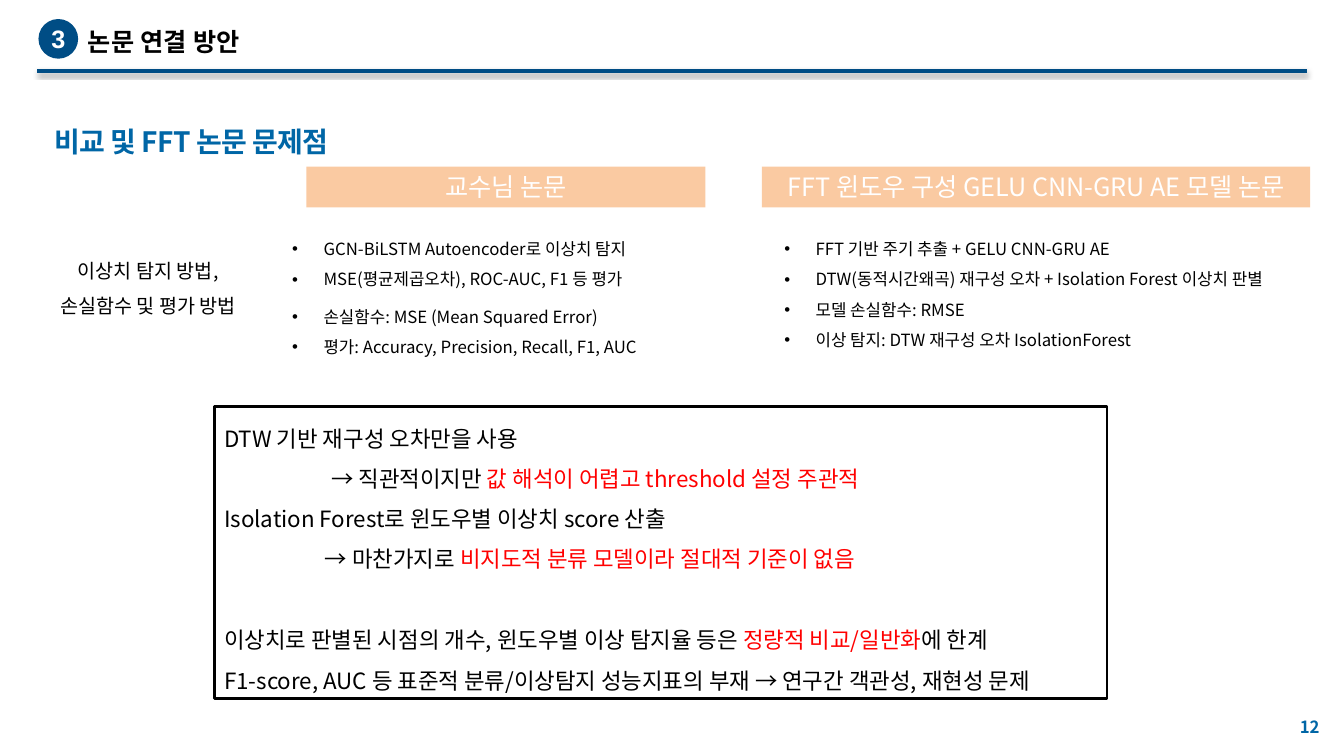
from lxml import etree
from pptx import Presentation
from pptx.dml.color import RGBColor
from pptx.enum.shapes import MSO_CONNECTOR, MSO_SHAPE
from pptx.enum.text import MSO_ANCHOR, MSO_AUTO_SIZE, PP_ALIGN
from pptx.oxml.ns import qn
from pptx.util import Cm, Pt

NAVY, BLUE, ORANGE = "004D85", "0066A6", "F79646"
BLACK, WHITE, RED = "000000", "FFFFFF", "FF0000"
SANS = "Noto Sans CJK KR"

SECTION_NUMBER = "3"
SECTION_TITLE = "논문 연결 방안"
SUBTITLE = "비교 및 FFT 논문 문제점"
PAGE_NUMBER = "12"
ROW_LABEL = ["이상치 탐지 방법,", "손실함수 및 평가 방법"]

# Each paper: heading, heading left and width, list left and width,
# then bullets as (space before in points, text)
PAPERS = [
    ("교수님 논문", 7.72, 10.06, 7.11, 12.37, [
        (0, "GCN-BiLSTM Autoencoder로 이상치 탐지"),
        (0, "MSE(평균제곱오차), ROC-AUC, F1 등 평가"),
        (5, "손실함수: MSE (Mean Squared Error)"),
        (0, "평가: Accuracy, Precision, Recall, F1, AUC"),
    ]),
    ("FFT 윈도우 구성 GELU CNN-GRU AE 모델 논문", 19.2, 13.82, 19.51, 13.4, [
        (0, "FFT 기반 주기 추출 + GELU CNN-GRU AE"),
        (0, "DTW(동적시간왜곡) 재구성 오차 + Isolation Forest 이상치 판별"),
        (0, "모델 손실함수: RMSE"),
        (0, "이상 탐지: DTW 재구성 오차 IsolationForest"),
    ]),
]

# Each problem line: indent in cm, space before in points, runs as (text, colour)
PROBLEMS = [
    (0, 0, [("DTW 기반 재구성 오차만을 사용", BLACK)]),
    (2.7, 0, [("→ 직관적이지만 ", BLACK),
              ("값 해석이 어렵고 threshold 설정 주관적", RED)]),
    (0, 0, [("Isolation Forest로 윈도우별 이상치 score 산출", BLACK)]),
    (2.54, 0, [("→ 마찬가지로 ", BLACK),
               ("비지도적 분류 모델이라 절대적 기준이 없음", RED)]),
    (0, 29, [("이상치로 판별된 시점의 개수, 윈도우별 이상 탐지율 등은 ", BLACK),
             ("정량적 비교/일반화", RED), ("에 한계", BLACK)]),
    (0, 0, [("F1-score, AUC 등 표준적 분류/이상탐지 성능지표의 부재 "
             "→ 연구간 객관성, 재현성 문제", BLACK)]),
]


def rgb(color):
    return RGBColor.from_string(color)


def place(shape, left, top, width, height):
    shape.left, shape.top = Cm(left), Cm(top)
    shape.width, shape.height = Cm(width), Cm(height)


def prepare_frame(shape, anchor=MSO_ANCHOR.TOP, wrap=True):
    frame = shape.text_frame
    frame.auto_size = MSO_AUTO_SIZE.NONE
    frame.word_wrap = wrap
    frame.vertical_anchor = anchor
    return frame


def write_line(frame, runs, size, font=SANS, bold=False, align=PP_ALIGN.LEFT,
               spacing=1.5, before=0, indent=0, hanging=0, tracking=0):
    """Write (text, colour) runs in the first free paragraph of the frame."""
    line = frame.paragraphs[-1]
    if line.runs:
        line = frame.add_paragraph()
    line.alignment, line.line_spacing = align, spacing
    line.space_before, line.space_after = Pt(before), Pt(0)
    properties = line._p.get_or_add_pPr()
    properties.set("marL", str(Cm(indent)))
    properties.set("indent", str(-Cm(hanging)))
    if hanging:
        etree.SubElement(properties, qn("a:buFont"), typeface="Arial")
        etree.SubElement(properties, qn("a:buChar"), char="•")
    for text, color in runs:
        run = line.add_run()
        run.text = text
        run.font.size, run.font.bold = Pt(size), bold
        run.font.color.rgb = rgb(color)
        run.font.name = font
        run_properties = run._r.get_or_add_rPr()
        etree.SubElement(run_properties, qn("a:ea"), typeface=font)
        if tracking:
            run_properties.set("spc", str(round(tracking * 100)))


def add_box(slide, kind, box, fill, outline=None):
    shape = slide.shapes.add_shape(kind, *(Cm(length) for length in box))
    shape.shadow.inherit = False
    shape.fill.solid()
    shape.fill.fore_color.rgb = rgb(fill)
    if outline:
        shape.line.color.rgb = rgb(outline)
        shape.line.width = Pt(2)
    else:
        shape.line.fill.background()
    return shape


def add_text(slide, box):
    return prepare_frame(slide.shapes.add_textbox(*(Cm(length) for length in box)))


def add_header(slide):
    rule = slide.shapes.add_connector(
        MSO_CONNECTOR.STRAIGHT, Cm(0.94), Cm(1.79), Cm(32.94), Cm(1.79))
    rule.line.color.rgb = rgb(NAVY)
    rule.line.width = Pt(3)
    effects = etree.SubElement(rule._element.spPr, qn("a:effectLst"))
    shadow = etree.SubElement(
        effects, qn("a:outerShdw"), blurRad=str(Pt(3.1)), dist=str(Pt(1.6)),
        dir="5400000", rotWithShape="0")
    shade = etree.SubElement(shadow, qn("a:srgbClr"), val=BLACK)
    etree.SubElement(shade, qn("a:alpha"), val="38000")

    title = slide.shapes.title
    place(title, 1.96, 0.23, 29.95, 1.27)
    write_line(prepare_frame(title, MSO_ANCHOR.MIDDLE),
               [(SECTION_TITLE, BLACK)], 18, "Roboto", bold=True)

    badge = add_box(slide, MSO_SHAPE.OVAL, (0.97, 0.48, 1, 1), NAVY)
    write_line(prepare_frame(badge, MSO_ANCHOR.MIDDLE, wrap=False),
               [(SECTION_NUMBER, WHITE)], 18, "Arial", bold=True,
               align=PP_ALIGN.CENTER, spacing=1)


def add_paper(slide, paper, listing):
    heading, bar_left, bar_width, list_left, list_width, bullets = paper
    bar = add_box(slide, MSO_SHAPE.RECTANGLE, (bar_left, 4.2, bar_width, 1.03), ORANGE)
    bar_color = bar._element.spPr.find(qn("a:solidFill"))[0]
    etree.SubElement(bar_color, qn("a:alpha"), val="50000")
    write_line(prepare_frame(bar, wrap=False), [(heading, WHITE)], 18,
               align=PP_ALIGN.CENTER, spacing=1)

    place(listing, list_left, 5.64, list_width, 3.4)
    frame = prepare_frame(listing)
    for before, bullet in bullets:
        write_line(frame, [(bullet, BLACK)], 12, before=before,
                   indent=0.79, hanging=0.79)


def main():
    deck = Presentation()
    deck.slide_width, deck.slide_height = Cm(33.87), Cm(19.05)
    slide = deck.slides.add_slide(deck.slide_layouts.get_by_name("Two Content"))

    add_header(slide)
    write_line(add_text(slide, (1.12, 2.59, 30.43, 1.4)), [(SUBTITLE, BLUE)],
               20, bold=True, tracking=-0.5)

    for paper, listing in zip(PAPERS, list(slide.placeholders)[1:]):
        add_paper(slide, paper, listing)

    label = add_text(slide, (0.66, 6.1, 6.15, 1.96))
    for text in ROW_LABEL:
        write_line(label, [(text, BLACK)], 14, align=PP_ALIGN.CENTER)

    problem_box = add_box(slide, MSO_SHAPE.RECTANGLE, (5.4, 10.24, 22.5, 7.36),
                          WHITE, BLACK)
    problems = prepare_frame(problem_box)
    for indent, before, runs in PROBLEMS:
        write_line(problems, runs, 16, before=before, indent=indent)

    page = add_text(slide, (32.66, 18.06, 0.8, 0.64))
    page.margin_left = page.margin_right = page.margin_top = page.margin_bottom = 0
    write_line(page, [(PAGE_NUMBER, BLUE)], 12, bold=True, spacing=1,
               before=2, indent=0.1, tracking=-0.2)

    deck.save("out.pptx")


if __name__ == "__main__":
    main()
